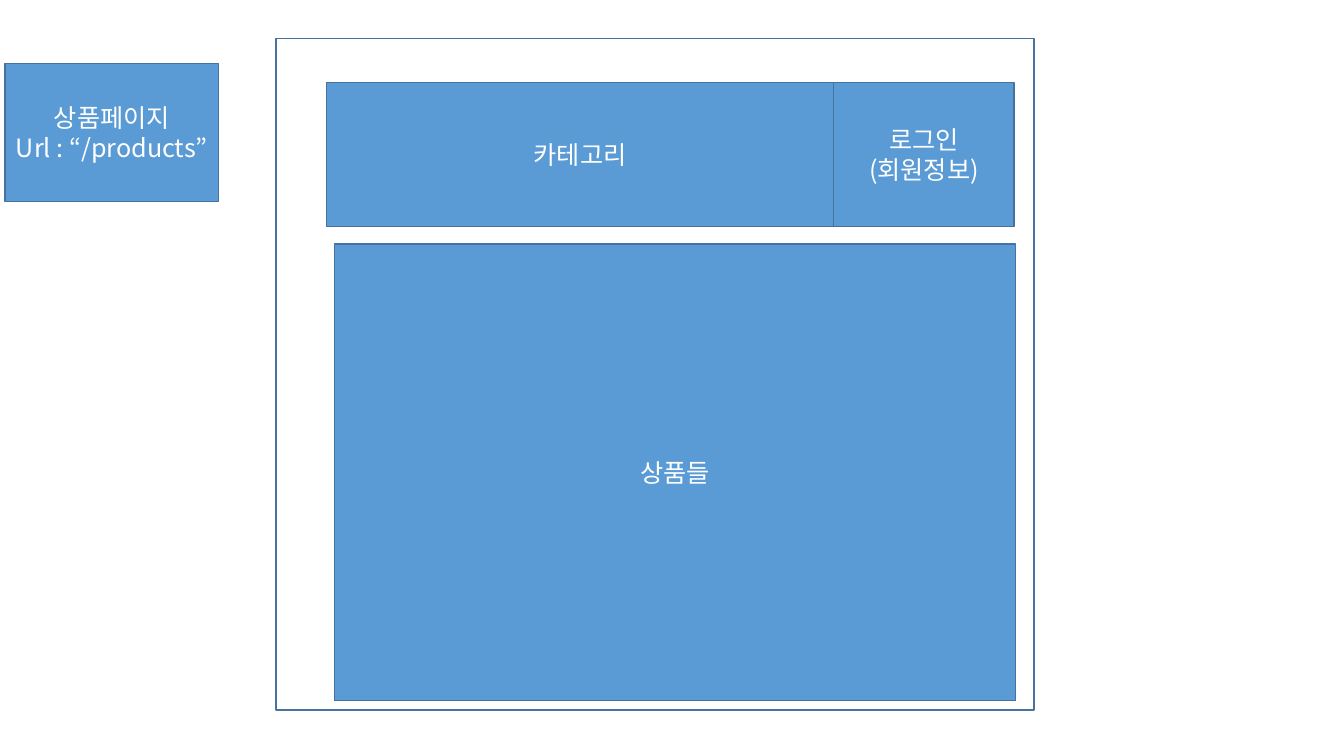
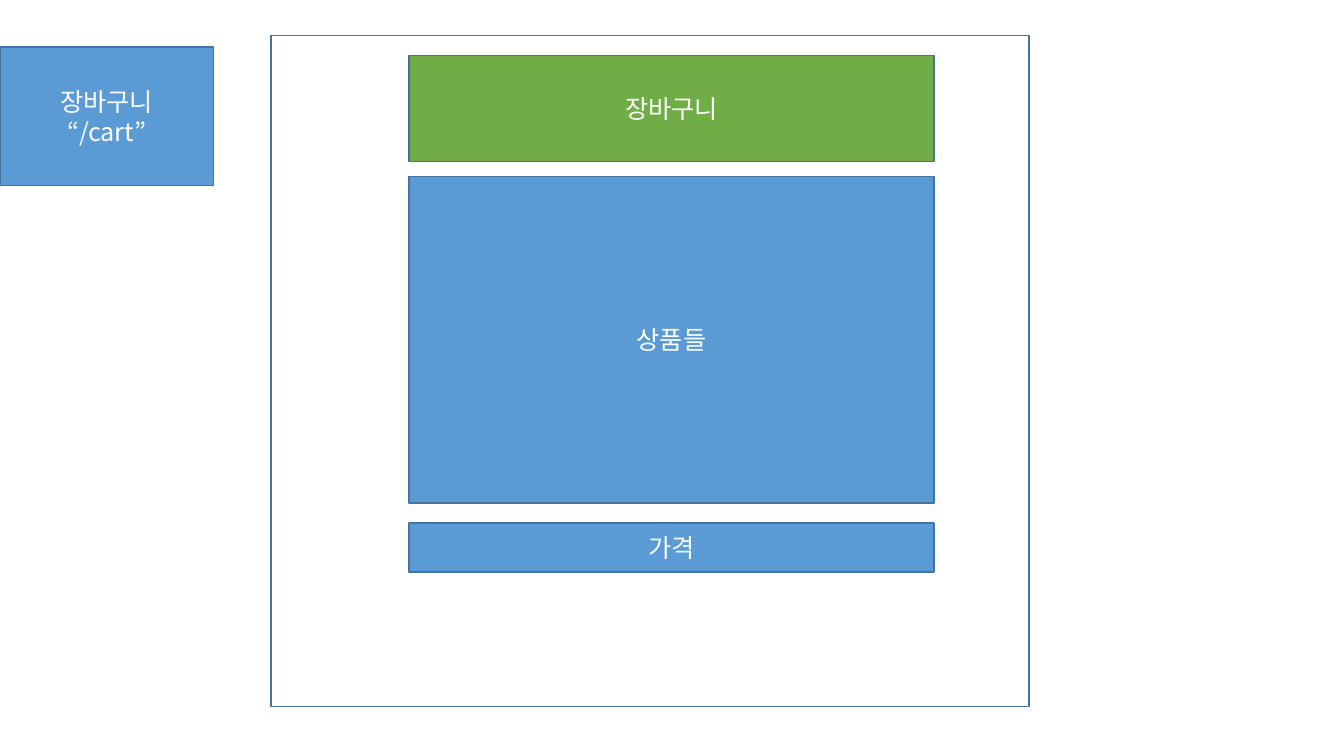
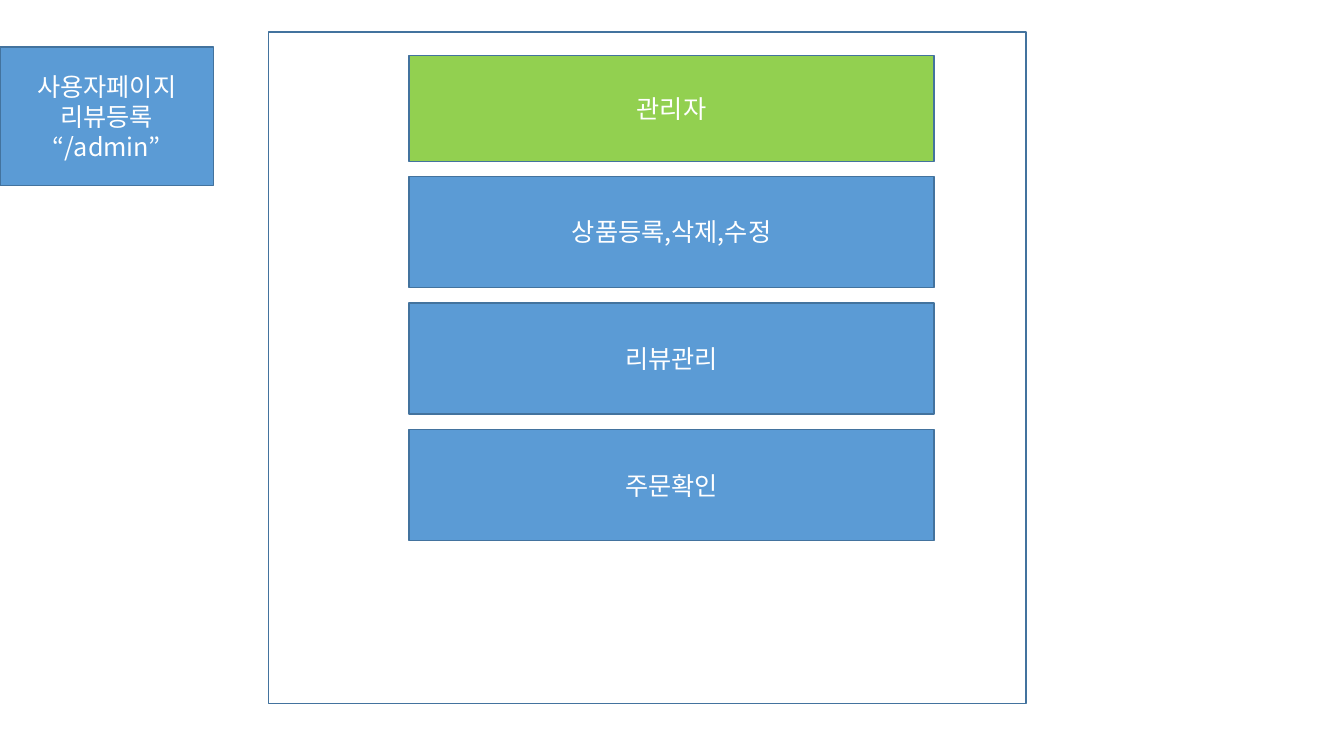
"""Wireframes of the product, cart and admin pages of a shop."""
from pptx import Presentation
from pptx.dml.color import RGBColor
from pptx.enum.shapes import MSO_SHAPE
from pptx.enum.text import MSO_ANCHOR, PP_ALIGN
from pptx.oxml.ns import qn
from pptx.util import Cm, Pt

COLORS = {"white": "FFFFFF", "blue": "5B9BD5", "edge": "43739E",
          "green": "70AD47", "lime": "92D050"}
FONT = "Noto Sans CJK KR"
FORMAT = {"name": FONT, "size": Pt(18)}
FRAME_SIZE = (19.1, 16.92)
TAG_SIZE = (5.38, 3.48)
BAND_LEFT, BAND_WIDTH = 10.31, 13.23
HEADER_TOP, HEADER_HEIGHT = 1.4, 2.67
BODY_TOP = 4.45
MENU_HEIGHT, MENU_PITCH = 2.79, 3.19

prs = Presentation()
prs.slide_width, prs.slide_height = Cm(33.87), Cm(19.05)


def add_box(s, left, top, width, height, lines=(), fill="blue"):
    sp = s.shapes.add_shape(MSO_SHAPE.RECTANGLE, Cm(left), Cm(top), Cm(width), Cm(height))
    sp.shadow.inherit = False
    sp.fill.solid()
    sp.fill.fore_color.rgb = RGBColor.from_string(COLORS[fill])
    sp.line.color.rgb = RGBColor.from_string(COLORS["edge"])
    sp.line.width = Pt(1)
    tf = sp.text_frame
    tf.word_wrap = True
    tf.vertical_anchor = MSO_ANCHOR.MIDDLE
    for i, line in enumerate(lines):
        p = tf.add_paragraph() if i else tf.paragraphs[0]
        p.alignment = PP_ALIGN.CENTER
        r = p.add_run()
        r.text = line
        for key, value in FORMAT.items():
            setattr(r.font, key, value)
        r.font.color.rgb = RGBColor.from_string(COLORS["white"])
        ea = r.font._element.makeelement(qn("a:ea"), {"typeface": FONT})
        r.font._element.find(qn("a:latin")).addnext(ea)


def add_page(frame_at, tag_at, tag_lines):
    s = prs.slides.add_slide(prs.slide_layouts[6])
    add_box(s, *frame_at, *FRAME_SIZE, fill="white")
    add_box(s, *tag_at, *TAG_SIZE, tag_lines)
    return s


products = add_page((6.96, 0.97), (0.13, 1.6), ["상품페이지", "Url : “/products”"])
add_box(products, 21.01, 2.08, 4.55, 3.63, ["로그인", "(회원정보)"])
add_box(products, 8.43, 6.15, 17.17, 11.51, ["상품들"])
add_box(products, 8.23, 2.08, 12.78, 3.63, ["카테고리"])

cart = add_page((6.83, 0.89), (0, 1.19), ["장바구니", "“/cart”"])
admin = add_page((6.76, 0.81), (0, 1.19), ["사용자페이지", "리뷰등록", "“/admin”"])
bands = [
    (cart, HEADER_TOP, HEADER_HEIGHT, "장바구니", "green"),
    (cart, BODY_TOP, 8.23, "상품들", "blue"),
    (cart, 13.18, 1.24, "가격", "blue"),
    (admin, HEADER_TOP, HEADER_HEIGHT, "관리자", "lime"),
]
for i, label in enumerate(["상품등록,삭제,수정", "리뷰관리", "주문확인"]):
    bands.append((admin, BODY_TOP + i * MENU_PITCH, MENU_HEIGHT, label, "blue"))
for s, top, height, label, fill in bands:
    add_box(s, BAND_LEFT, top, BAND_WIDTH, height, [label], fill)

prs.save("out.pptx")
